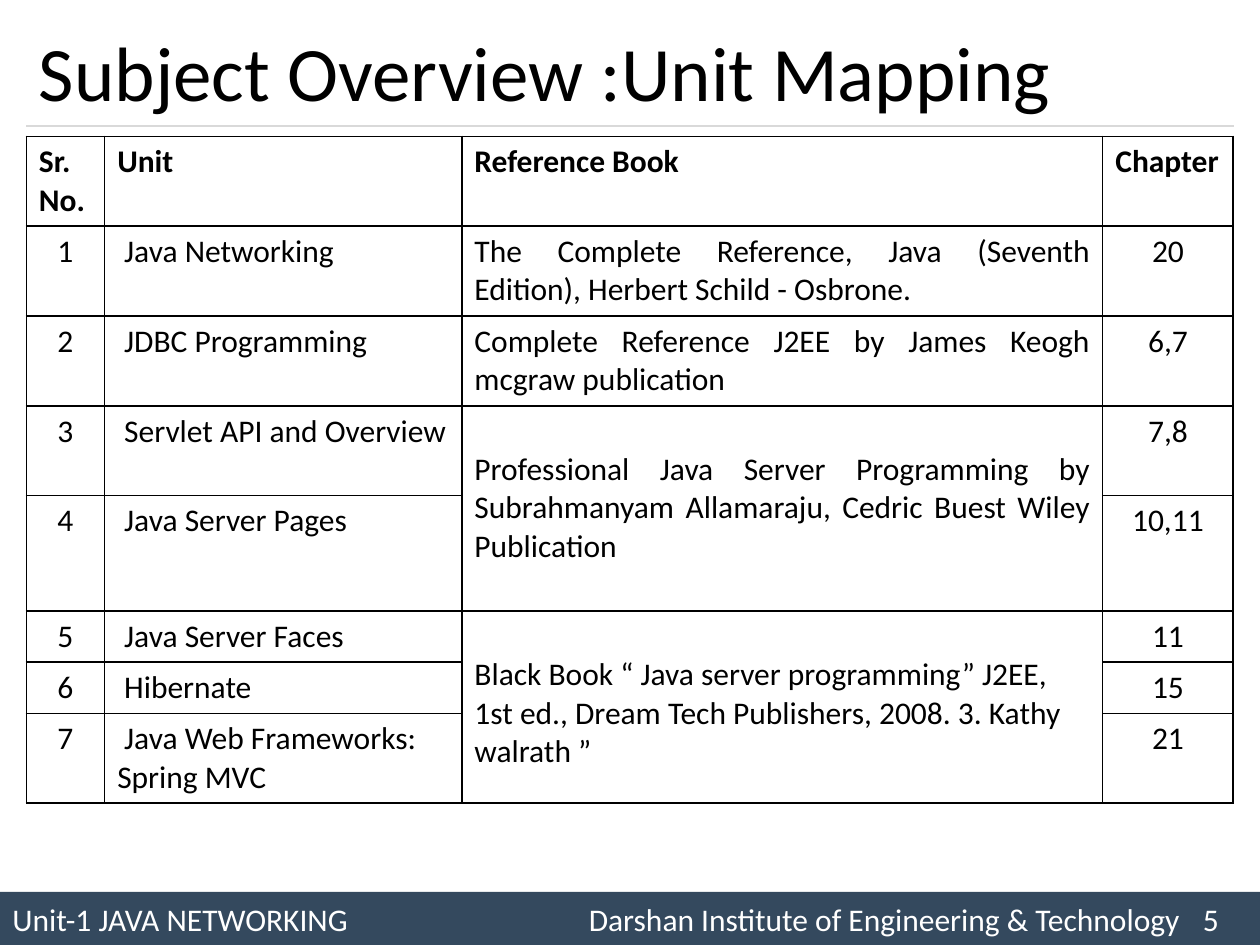
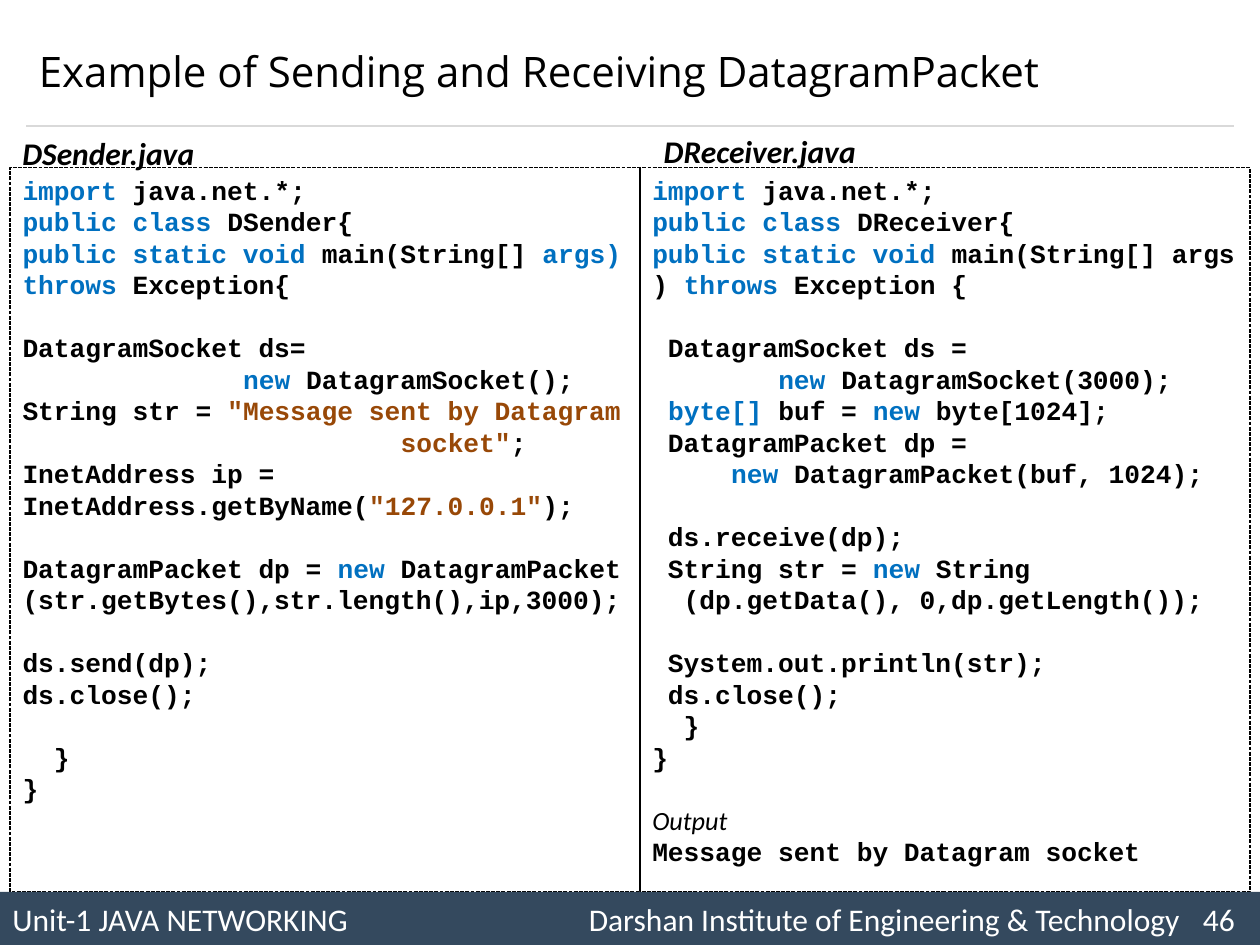
"""Build two Java networking slides: the unit mapping and a DatagramPacket example."""
from dataclasses import dataclass

from lxml import etree
from pptx import Presentation
from pptx.dml.color import RGBColor
from pptx.enum import dml, shapes, text
from pptx.oxml.ns import qn
from pptx.util import Cm, Pt


@dataclass(frozen=True)
class Theme:
    ink: str = "000000"
    band: str = "34495E"
    band_text: str = "FFFFFF"
    rule: str = "D9D9D9"
    keyword: str = "0070C0"
    literal: str = "984807"
    sans: str = "Calibri"
    mono: str = "Courier New"
    heading: str = "Open Sans"
    body_size: int = 18
    code_size: int = 15


theme = Theme()


def style(paragraph, color=theme.ink, size=theme.body_size, name=theme.sans, bold=False, italic=False):
    font = paragraph.font
    font.name, font.size, font.bold, font.italic = name, Pt(size), bold, italic
    font.color.rgb = RGBColor.from_string(color)


def add_framed_slide(layout, heading, heading_font, heading_size, number):
    slide = deck.slides.add_slide(deck.slide_layouts[layout])
    title = slide.shapes.title
    title.left, title.top, title.width, title.height = Cm(0.53), Cm(0.3), Cm(24.33), Cm(2.24)
    title.text_frame.text = heading
    title.text_frame.auto_size = text.MSO_AUTO_SIZE.NONE
    title.text_frame.vertical_anchor = text.MSO_ANCHOR.MIDDLE
    title.text_frame.paragraphs[0].alignment = text.PP_ALIGN.LEFT
    style(title.text_frame.paragraphs[0], size=heading_size, name=heading_font)

    rule = slide.shapes.add_connector(shapes.MSO_CONNECTOR.STRAIGHT, Cm(0.53), Cm(2.54), Cm(24.87), Cm(2.54))
    rule.line.color.rgb = RGBColor.from_string(theme.rule)
    rule.line.width = Pt(0.75)
    etree.SubElement(rule._element.spPr, qn("a:effectLst"))

    band = slide.shapes.add_shape(shapes.MSO_SHAPE.RECTANGLE, 0, Cm(17.98), deck.slide_width, Cm(1.07))
    band.shadow.inherit = False
    band.fill.solid()
    band.fill.fore_color.rgb = RGBColor.from_string(theme.band)
    band.line.fill.background()
    band.text_frame.vertical_anchor = text.MSO_ANCHOR.MIDDLE
    footer = band.text_frame.paragraphs[0]
    footer.text = f"Unit-1 JAVA NETWORKING\tDarshan Institute of Engineering & Technology\t{number}"
    footer.alignment = text.PP_ALIGN.LEFT
    stops = etree.SubElement(footer._p.get_or_add_pPr(), qn("a:tabLst"))
    for stop in (Cm(11.62), Cm(24)):
        etree.SubElement(stops, qn("a:tab"), pos=str(stop), algn="l")
    style(footer, theme.band_text)
    return slide


deck = Presentation()
deck.slide_width, deck.slide_height = Cm(25.4), Cm(19.05)

overview = add_framed_slide(5, "Subject Overview :Unit Mapping", theme.sans, 44, 5)
units = [
    ("Sr. No.", "Unit", "Reference Book", "Chapter"),
    ("1", "Java Networking",
     "The Complete Reference, Java (Seventh Edition), Herbert Schild - Osbrone.", "20"),
    ("2", "JDBC Programming", "Complete Reference J2EE by James Keogh mcgraw publication", "6,7"),
    ("3", "Servlet API and Overview",
     "Professional Java Server Programming by Subrahmanyam Allamaraju, Cedric Buest Wiley Publication", "7,8"),
    ("4", "Java Server Pages", "", "10,11"),
    ("5", "Java Server Faces",
     "Black Book “ Java server programming” J2EE, 1st ed., Dream Tech Publishers, 2008. 3. Kathy walrath ”", "11"),
    ("6", "Hibernate", "", "15"),
    ("7", "Java Web Frameworks: Spring MVC", "", "21"),
]
column_widths = (1.58, 7.2, 12.92, 2.63)
row_heights = (1.81, 1.81, 1.81, 1.81, 2.33, 1.03, 1.03, 1.81)
mapping = overview.shapes.add_table(
    len(units), 4, Cm(0.53), Cm(2.75), Cm(sum(column_widths)), Cm(sum(row_heights))).table
mapping.first_row = mapping.horz_banding = False
for column, width in zip(mapping.columns, column_widths):
    column.width = Cm(width)
for row, height in zip(mapping.rows, row_heights):
    row.height = Cm(height)
for first, last in ((3, 4), (5, 7)):
    mapping.cell(first, 2).merge(mapping.cell(last, 2))
    mapping.cell(first, 2).margin_top = Cm(0.9)

column_alignments = (text.PP_ALIGN.CENTER, text.PP_ALIGN.LEFT, text.PP_ALIGN.JUSTIFY, text.PP_ALIGN.CENTER)
for r, unit in enumerate(units):
    for c, entry in enumerate(unit):
        cell = mapping.cell(r, c)
        for side in ("lnL", "lnR", "lnT", "lnB"):
            border = etree.SubElement(cell._tc.get_or_add_tcPr(), qn(f"a:{side}"), w=str(Pt(1)))
            ink = etree.SubElement(border, qn("a:solidFill"))
            etree.SubElement(ink, qn("a:srgbClr"), val=theme.ink)
        cell.fill.background()
        paragraph = cell.text_frame.paragraphs[0]
        if entry:
            paragraph.text = entry
        plain = r == 0 or (r, c) == (5, 2)
        paragraph.alignment = text.PP_ALIGN.LEFT if plain else column_alignments[c]
        if r and c == 1:
            paragraph._p.get_or_add_pPr().set("indent", str(Cm(0.14)))
        style(paragraph, bold=r == 0)

example = add_framed_slide(1, "Example of Sending and Receiving DatagramPacket", theme.heading, 24, 46)
sender_code = """~import~ java.net.*;
~public class ~DSender{
~public static void~ main(String[] ~args)~
~throws~ Exception{

DatagramSocket ds=
              ~new ~DatagramSocket();
String str = ~"Message sent by Datagram~
                        ~socket"~;
InetAddress ip =
InetAddress.getByName(~"127.0.0.1"~);

DatagramPacket dp = ~new ~DatagramPacket
(str.getBytes(),str.length(),ip,3000);

ds.send(dp);
ds.close();

  }
}"""
receiver_code = """~import~ java.net.*;
~public class ~DReceiver{
~public static void~ main(String[] args
) ~throws~ Exception {

 DatagramSocket ds =
        ~new ~DatagramSocket(3000);
 ~byte[] ~buf = ~new~ byte[1024];
 DatagramPacket dp =
     ~new ~DatagramPacket(buf, 1024);

 ds.receive(dp);
 String str = ~new~ String
  (dp.getData(), 0,dp.getLength());

 System.out.println(str);
 ds.close();
  }
}

Output
Message sent by Datagram socket"""
sender = example.placeholders[1]
receiver = example.shapes.add_shape(shapes.MSO_SHAPE.RECTANGLE, 0, 0, Cm(1), Cm(1))
receiver.shadow.inherit = False
for panel, left, width, code in ((sender, 0.2, 12.7, sender_code), (receiver, 12.9, 12.3, receiver_code)):
    panel.left, panel.top, panel.width, panel.height = Cm(left), Cm(3.38), Cm(width), Cm(14.6)
    panel.fill.background()
    panel.line.color.rgb = RGBColor.from_string(theme.ink)
    panel.line.width = Pt(0.75)
    panel.line.dash_style = dml.MSO_LINE.SQUARE_DOT
    frame = panel.text_frame
    frame.word_wrap = True
    frame.auto_size = text.MSO_AUTO_SIZE.NONE
    frame.vertical_anchor = text.MSO_ANCHOR.TOP
    for i, line in enumerate(code.split("\n")):
        paragraph = frame.add_paragraph() if i else frame.paragraphs[0]
        properties = paragraph._p.get_or_add_pPr()
        properties.set("marL", "0")
        properties.set("indent", "0")
        etree.SubElement(properties, qn("a:buNone"))
        paragraph.alignment = text.PP_ALIGN.LEFT
        paragraph.space_before = Pt(0)
        is_label = line == "Output"
        style(paragraph, size=theme.code_size, name=theme.sans if is_label else theme.mono,
              bold=not is_label, italic=is_label)
        for part, fragment in enumerate((line or " ").split("~")):
            if fragment:
                run = paragraph.add_run()
                run.text = fragment
                accent = theme.literal if '"' in fragment else theme.keyword
                run.font.color.rgb = RGBColor.from_string(accent if part % 2 else theme.ink)

for file_name, left, top, width in (("DSender.java", 0.2, 2.57, 4.01), ("DReceiver.java", 13.13, 2.54, 5.08)):
    caption = example.shapes.add_textbox(Cm(left), Cm(top), Cm(width), Cm(1.02)).text_frame
    caption.word_wrap = True
    caption.text = file_name
    style(caption.paragraphs[0], bold=True, italic=True)

deck.save("out.pptx")
